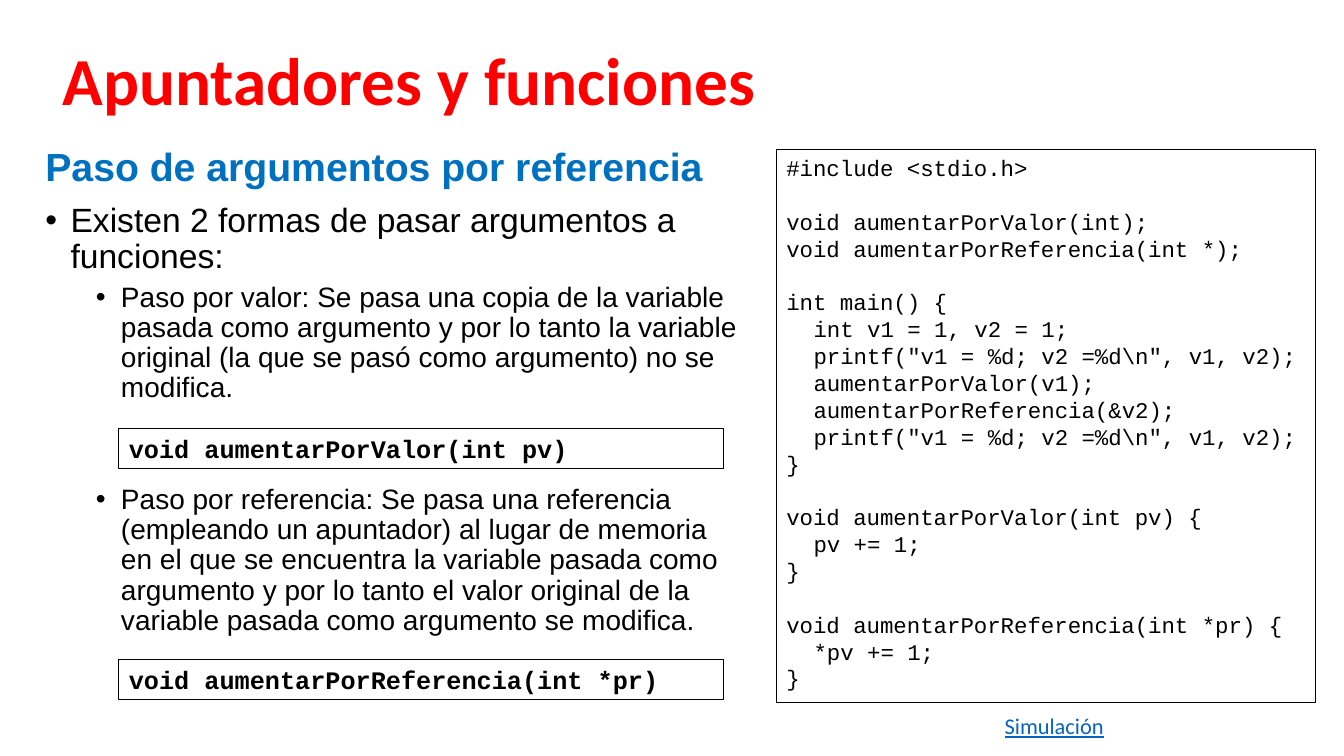
from lxml import etree
from pptx import Presentation
from pptx import util as u
from pptx.dml.color import RGBColor
from pptx.enum import shapes, text
from pptx.oxml import ns

RED = RGBColor(0xFF, 0x00, 0x00)
BLUE = RGBColor(0x00, 0x70, 0xC0)
LINK_BLUE = RGBColor(0x05, 0x63, 0xC1)
BLACK = RGBColor(0x00, 0x00, 0x00)

# Content
TITLE = "Apuntadores y funciones"
# text, style name, space before in points
BODY = [
    ("Paso de argumentos por referencia", "heading", 10),
    ("Existen 2 formas de pasar argumentos a funciones:", "point", 10),
    ("Paso por valor: Se pasa una copia de la variable pasada como argumento "
     "y por lo tanto la variable original (la que se pasó como argumento) "
     "no se modifica.", "detail", 5),
    ("Paso por referencia: Se pasa una referencia (empleando un apuntador) al "
     "lugar de memoria en el que se encuentra la variable pasada como argumento "
     "y por lo tanto el valor original de la variable pasada como argumento "
     "se modifica.", "detail", 58),
]
# signature, top in inches
SIGNATURES = [
    ("void aumentarPorValor(int pv)", 4.25),
    ("void aumentarPorReferencia(int *pr)", 6.54),
]
# blocks of (nesting depth, code line)
PRINT_LINE = (1, 'printf("v1 = %d; v2 =%d\\n", v1, v2);')
PROGRAM = [
    [(0, "#include <stdio.h>")],
    [(0, "void aumentarPorValor(int);"),
     (0, "void aumentarPorReferencia(int *);")],
    [(0, "int main() {"),
     (1, "int v1 = 1, v2 = 1;"),
     PRINT_LINE,
     (1, "aumentarPorValor(v1);"),
     (1, "aumentarPorReferencia(&v2);"),
     PRINT_LINE,
     (0, "}")],
    [(0, "void aumentarPorValor(int pv) {"), (1, "pv += 1;"), (0, "}")],
    [(0, "void aumentarPorReferencia(int *pr) {"), (1, "*pv += 1;"), (0, "}")],
]
LINK = "Simulación"

# Formats
TITLE_FONT = dict(name="Calibri", size=u.Pt(48), bold=True)
SIGNATURE_FONT = dict(name="Courier New", size=u.Pt(18), bold=True)
CODE_FONT = dict(name="Courier New", size=u.Pt(16), bold=False)
LINK_FONT = dict(name="Calibri", size=u.Pt(16), underline=True)
# level, left margin in inches, bulleted, colour, font
BODY_STYLES = {
    "heading": (0, 0, False, BLUE, dict(name="Arial", size=u.Pt(28), bold=True)),
    "point": (0, 0.25, True, BLACK, dict(name="Arial", size=u.Pt(24), bold=False)),
    "detail": (1, 0.75, True, BLACK, dict(name="Arial", size=u.Pt(20), bold=False)),
}
BULLET_HANG = 0.25
CODE_INDENT = 0.27
CODE_LINE = 19.2


def apply(target, values):
    for name, value in values.items():
        setattr(target, name, value)


def write(para, words, font, color):
    span = para.add_run()
    span.text = words
    apply(span.font, font)
    span.font.color.rgb = color


def indent(para, left, hang=0):
    props = para._p.get_or_add_pPr()
    props.set("marL", str(u.Inches(left)))
    props.set("indent", str(-u.Inches(hang)))
    return props


def paragraphs(frame, count):
    for _ in range(count - 1):
        frame.add_paragraph()
    return frame.paragraphs


def place(shape, left, top, width, height):
    apply(shape, dict(left=u.Inches(left), top=u.Inches(top),
                      width=u.Inches(width), height=u.Inches(height)))


def add_code_box(page, left, top, width, height):
    box = page.shapes.add_shape(shapes.MSO_SHAPE.RECTANGLE,
                                *map(u.Inches, (left, top, width, height)))
    box.shadow.inherit = False
    box.fill.background()
    box.line.color.rgb = BLACK
    box.line.width = u.Pt(0.75)
    apply(box.text_frame, dict(
        word_wrap=True, vertical_anchor=text.MSO_ANCHOR.TOP,
        auto_size=text.MSO_AUTO_SIZE.SHAPE_TO_FIT_TEXT))
    return box.text_frame


deck = Presentation()
deck.slide_width, deck.slide_height = u.Inches(13.33), u.Inches(7.5)
page = deck.slides.add_slide(deck.slide_layouts[1])

# Title
title = page.shapes.title
place(title, 0.52, 0.11, 11.89, 1.45)
apply(title.text_frame, dict(vertical_anchor=text.MSO_ANCHOR.MIDDLE,
                             auto_size=text.MSO_AUTO_SIZE.NONE))
para = title.text_frame.paragraphs[0]
apply(para, dict(alignment=text.PP_ALIGN.LEFT, line_spacing=0.9))
write(para, TITLE, TITLE_FONT, RED)

# Explanation
body = page.placeholders[1]
place(body, 0.35, 1.41, 7.12, 5.98)
body.text_frame.auto_size = text.MSO_AUTO_SIZE.NONE
for para, (words, style, before) in zip(
        paragraphs(body.text_frame, len(BODY)), BODY):
    level, left, bulleted, color, font = BODY_STYLES[style]
    apply(para, dict(level=level, line_spacing=0.9, space_before=u.Pt(before)))
    props = indent(para, left, BULLET_HANG if bulleted else 0)
    if bulleted:
        etree.SubElement(props, ns.qn("a:buFont")).set("typeface", "Arial")
        etree.SubElement(props, ns.qn("a:buChar")).set("char", "•")
    else:
        etree.SubElement(props, ns.qn("a:buNone"))
    write(para, words, font, color)

# Function signatures
for words, top in SIGNATURES:
    para = add_code_box(page, 1.18, top, 6, 0.4).paragraphs[0]
    para.alignment = text.PP_ALIGN.LEFT
    write(para, words, SIGNATURE_FONT, BLACK)

# Program listing: one empty line's height separates the blocks
code_lines = [(depth, words, CODE_LINE if block and not row else 0)
              for block, lines in enumerate(PROGRAM)
              for row, (depth, words) in enumerate(lines)]
listing = add_code_box(page, 7.7, 1.48, 5.35, 5.49)
for para, (depth, words, before) in zip(
        paragraphs(listing, len(code_lines)), code_lines):
    apply(para, dict(alignment=text.PP_ALIGN.LEFT, space_before=u.Pt(before)))
    indent(para, depth * CODE_INDENT)
    write(para, words, CODE_FONT, BLACK)

# Simulation label
label = page.shapes.add_textbox(*map(u.Inches, (9.78, 7.02, 1.35, 0.37)))
apply(label.text_frame, dict(word_wrap=True,
                             auto_size=text.MSO_AUTO_SIZE.SHAPE_TO_FIT_TEXT))
para = label.text_frame.paragraphs[0]
para.alignment = text.PP_ALIGN.CENTER
write(para, LINK, LINK_FONT, LINK_BLUE)

deck.save("out.pptx")
